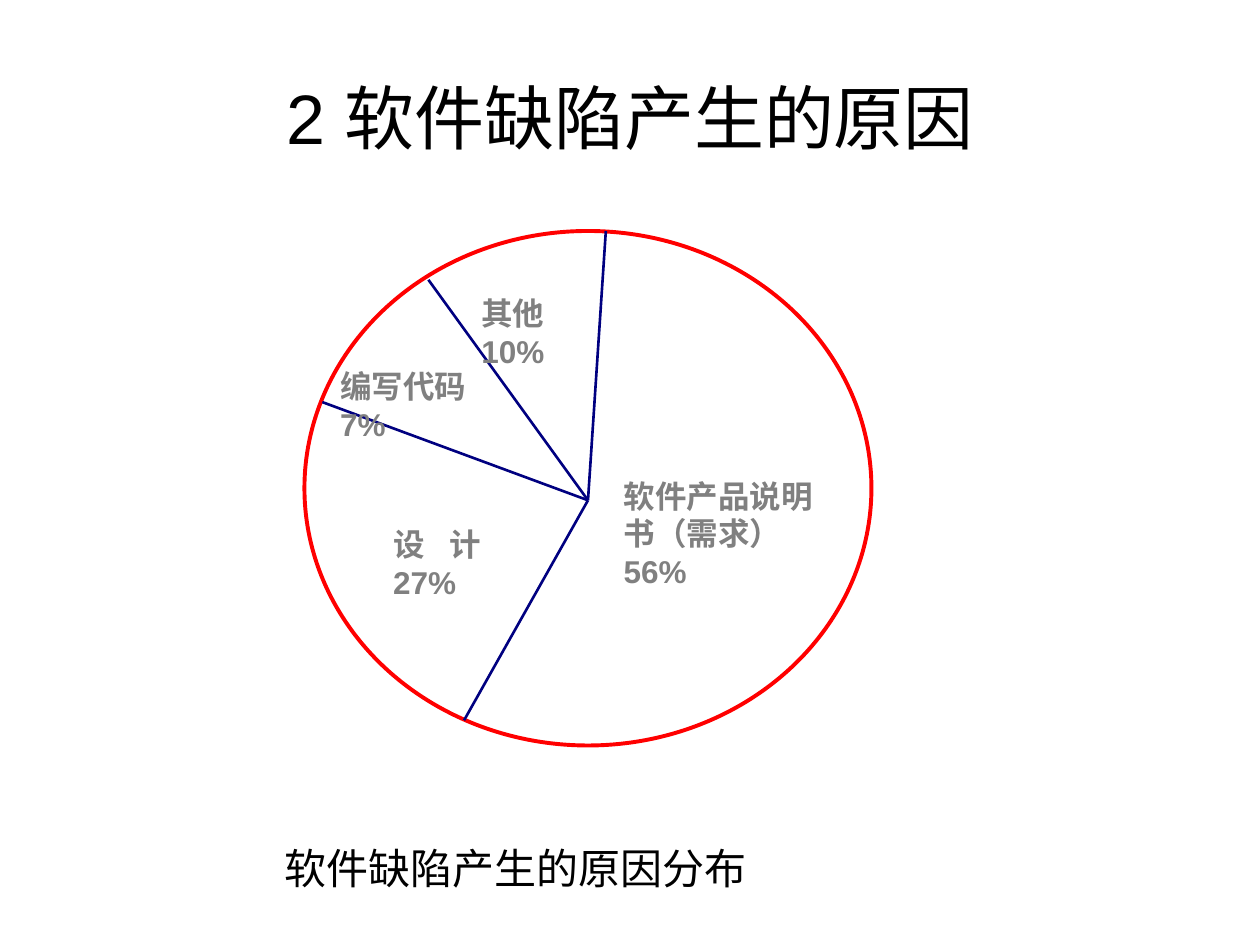
from lxml.etree import SubElement
from pptx import Presentation
from pptx.dml.color import RGBColor
from pptx.enum.shapes import MSO_CONNECTOR as Link, MSO_SHAPE as Shape
from pptx.enum.text import MSO_ANCHOR as Anchor, PP_ALIGN as Align
from pptx.oxml.ns import qn
from pptx.util import Inches, Pt

COLORS = {"paper": "FFFFFF", "ink": "000000", "ring": "FF0000",
          "spoke": "000080", "label": "808080"}
FONT = "Arial"
COLS, ROWS = 120, 90

# Places are columns and rows: left, top, width, height
TITLE = ("2 软件缺陷产生的原因", (6, 3.6, 108, 15))
CAPTION = ("软件缺陷产生的原因分布", (27.1, 80, 48, 5.2))
RING = (29, 22, 54, 49)
HUB = (56, 47.65)
RIM = [(57.7, 22), (44.2, 68.6), (30.7, 38.3), (40.8, 26.65)]
LABELS = [
    (["其他", "10%"], (45.85, 28, 8.4, 7.2), Align.LEFT),
    (["软件产品说明书（需求）", "56%"], (59.4, 45.4, 18.6, 16.3), Align.LEFT),
    (["编写代码", "7%"], (32.4, 35, 15.25, 7.2), Align.LEFT),
    (["设计27%"], (37.45, 50, 8.4, 9.4), Align.JUSTIFY),
]

deck = Presentation()
deck.slide_width, deck.slide_height = Inches(10), Inches(7.5)
slide = deck.slides.add_slide(deck.slide_layouts[6])
shapes = slide.shapes


def color(name):
    return RGBColor.from_string(COLORS[name])


def place(*cells):
    """Turn alternating columns and rows into slide lengths."""
    units = (deck.slide_width / COLS, deck.slide_height / ROWS)
    return [round(cell * units[i % 2]) for i, cell in enumerate(cells)]


def write(lines, box, size=18, ink="ink", bold=False,
          align=Align.LEFT, anchor=Anchor.TOP):
    frame = shapes.add_textbox(*place(*box)).text_frame
    frame.word_wrap = True
    frame.vertical_anchor = anchor
    frame.margin_left = frame.margin_right = 0
    frame.margin_top = frame.margin_bottom = 0
    frame.text = "\n".join(lines)
    for para in frame.paragraphs:
        para.alignment = align
        for run in para.runs:
            font = run.font
            font.name, font.size, font.bold = FONT, Pt(size), bold
            font.color.rgb = color(ink)


def draw_ring():
    ring = shapes.add_shape(Shape.OVAL, *place(*RING))
    ring.shadow.inherit = False
    ring.fill.solid()
    ring.fill.fore_color.rgb = color("paper")
    ring.line.color.rgb = color("ring")
    ring.line.width = Pt(2.25)


def draw_spoke(end):
    spoke = shapes.add_connector(Link.STRAIGHT, *place(*HUB, *end))
    spoke.line.color.rgb = color("spoke")
    spoke.line.width = Pt(1.5)
    SubElement(spoke._element.spPr, qn("a:effectLst"))


text, box = TITLE
write([text], box, size=40, align=Align.CENTER, anchor=Anchor.MIDDLE)
text, box = CAPTION
write([text], box, size=24, anchor=Anchor.MIDDLE)

draw_ring()
for end in RIM:
    draw_spoke(end)
for lines, box, align in LABELS:
    write(lines, box, ink="label", bold=True, align=align)

deck.save("out.pptx")
